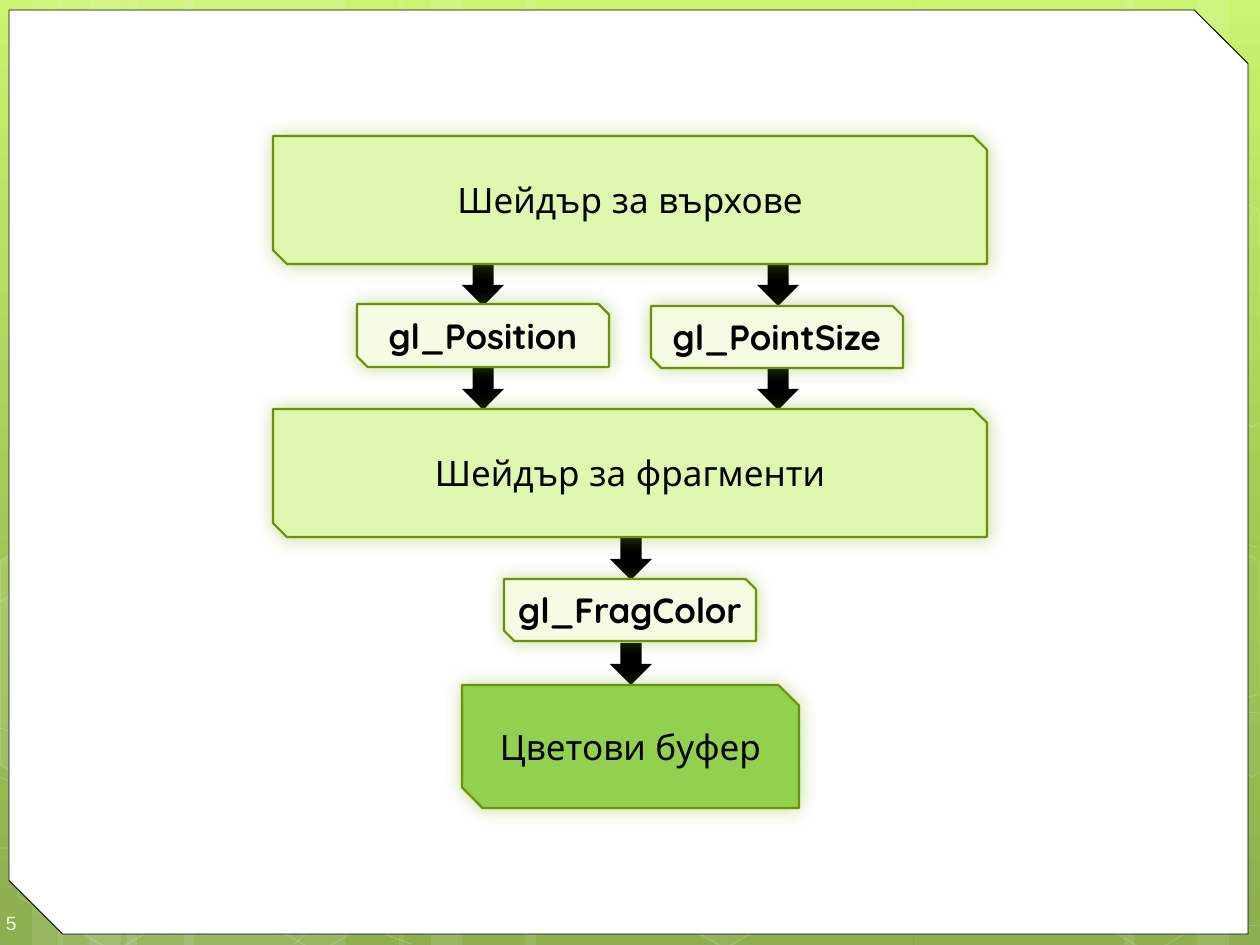
from copy import deepcopy

from pptx import Presentation
from pptx.dml.color import RGBColor
from pptx.enum.shapes import MSO_SHAPE
from pptx.enum.text import MSO_ANCHOR, PP_ALIGN
from pptx.oxml import parse_xml
from pptx.oxml.ns import nsdecls, qn
from pptx.util import Emu, Pt

SCALE = 914400 / 126


def px(*lengths):
    return [Emu(round(length * SCALE)) for length in lengths]


def paint(shape, fill=None, line=None, width=1, fill_alpha=100, line_alpha=100):
    shape.shadow.inherit = False
    for target, color, alpha in ((shape.fill, fill, fill_alpha), (shape.line.fill, line, line_alpha)):
        if color is None:
            target.background()
            continue
        target.solid()
        target.fore_color.rgb = RGBColor.from_string(color)
        if alpha < 100:
            owner = shape._element.spPr if target is shape.fill else shape.line._ln
            element = owner.find(qn("a:solidFill")).find(qn("a:srgbClr"))
            element.append(parse_xml(f'<a:alpha {nsdecls("a")} val="{alpha * 1000}"/>'))
    if line:
        shape.line.width = Pt(width)


presentation = Presentation()
presentation.slide_width, presentation.slide_height = px(1260, 945)
slide = presentation.slides.add_slide(presentation.slide_layouts[6])
shapes = slide.shapes

background = slide.background.fill
background.gradient()
background.gradient_angle = 270
stop_list = slide._element.find(".//" + qn("a:gsLst"))
stop_list.insert(1, deepcopy(stop_list[0]))
for stop, position, color in zip(background.gradient_stops, (0, 0.62, 1), ("C3F35F", "93BF3F", "81A53E")):
    stop.position = position
    stop.color.rgb = RGBColor.from_string(color)

bars = [(126, 220), (0, 63), (32, 105), (184, 220), (58, 63), (89, 105),
        (914, 220), (1197, 63), (1124, 105), (525, 388), (399, 63), (431, 105)]
for left, width in bars:
    bar = shapes.add_shape(MSO_SHAPE.RECTANGLE, *px(left, 0, width, 945))
    paint(bar, "FFFFFF", fill_alpha=10)

curves = [
    [(0, 848), (229, 854), (567, 838), (987, 777), (1259, 694)],
    [(0, 601), (142, 543), (427, 488), (814, 488), (1259, 547)],
    [(0, 777), (150, 846), (411, 944)],
    [(0, 728), (151, 776), (438, 848), (781, 905), (1063, 927), (1181, 930), (1259, 925)],
    [(295, 944), (370, 871), (478, 805), (581, 767), (756, 728), (990, 708), (1189, 708), (1259, 713)],
]
for points in curves:
    builder = shapes.build_freeform(*points[0], scale=SCALE)
    builder.add_line_segments(points[1:], close=False)
    paint(builder.convert_to_shape(), None, "FFFFFF", 0.5, line_alpha=20)

for left, top, alpha in ((615, 742, 6), (4, 745, 0), (208, 746, 0), (1041, 747, 0)):
    hexagon = shapes.add_shape(MSO_SHAPE.HEXAGON, *px(left, top, 220, 192))
    hexagon.rotation = 30
    hexagon.adjustments[0] = 0.285
    paint(hexagon, "FFFFFF" if alpha else None, "FFFFFF", 1, alpha, 12)

edge_hexagons = [
    ([(0, 561), (14, 552), (110, 607), (110, 718), (15, 774), (0, 765)], 10),
    ([(1157, 611), (1251, 556), (1260, 562), (1261, 772), (1252, 777), (1155, 722)], 4),
    ([(1157, 261), (1251, 205), (1260, 212), (1261, 422), (1252, 427), (1155, 372)], 0),
]
for points, alpha in edge_hexagons:
    builder = shapes.build_freeform(*points[0], scale=SCALE)
    builder.add_line_segments(points[1:])
    paint(builder.convert_to_shape(), "FFFFFF" if alpha else None, "FFFFFF", 1, alpha, 12)

panel = shapes.add_shape(MSO_SHAPE.SNIP_2_DIAG_RECTANGLE, *px(9, 10, 1239, 924))
panel.adjustments[1] = 0.058
paint(panel, "FFFFFF", "000000", 0.5)

number = shapes.add_textbox(*px(0, 895, 73, 50))
frame = number.text_frame
frame.word_wrap = True
frame.vertical_anchor = MSO_ANCHOR.MIDDLE
frame.margin_left, frame.margin_top, frame.margin_right, frame.margin_bottom = px(6, 19, 0, 13)
frame.text = "5"
font = frame.paragraphs[0].runs[0].font
font.name, font.size = "Arial", Pt(11)
font.color.rgb = RGBColor.from_string("EEFFD6")

for left, top in ((462, 264), (757, 264), (610, 643), (462, 368), (757, 368), (610, 538)):
    arrow = shapes.add_shape(MSO_SHAPE.RIGHT_ARROW, *px(left, top, 42, 42))
    arrow.rotation = 90
    paint(arrow, "000000")

boxes = [
    ("Шейдър за върхове", 273, 136, 714, 128, 0.108, "DFF7AE", False),
    ("Шейдър за фрагменти", 273, 409, 714, 128, 0.108, "DFF7AE", False),
    ("Цветови буфер", 462, 685, 337, 123, 0.167, "92D050", False),
    ("gl_FragColor", 504, 579, 252, 62, 0.167, "F4FCE4", True),
    ("gl_Position", 357, 304, 252, 63, 0.167, "F4FCE4", True),
    ("gl_PointSize", 651, 306, 252, 62, 0.167, "F4FCE4", True),
]
for text, left, top, width, height, snip, fill, is_variable in boxes:
    box = shapes.add_shape(MSO_SHAPE.SNIP_2_DIAG_RECTANGLE, *px(left, top, width, height))
    box.adjustments[1] = snip
    paint(box, fill, "6D9200", 1.25)
    box._element.spPr.find(qn("a:effectLst")).append(parse_xml(
        f'<a:outerShdw {nsdecls("a")} blurRad="127000" dist="0" dir="2700000" algn="ctr" rotWithShape="0">'
        '<a:srgbClr val="74A510"><a:alpha val="40000"/></a:srgbClr></a:outerShdw>'))
    frame = box.text_frame
    frame.word_wrap = not is_variable
    frame.vertical_anchor = MSO_ANCHOR.MIDDLE
    frame.margin_left = frame.margin_right = 0
    frame.text = text
    paragraph = frame.paragraphs[0]
    paragraph.alignment = PP_ALIGN.CENTER
    font = paragraph.runs[0].font
    font.name, font.size, font.bold = "Quicksand", Pt(20), is_variable
    font.color.rgb = RGBColor.from_string("000000")

presentation.save("out.pptx")
